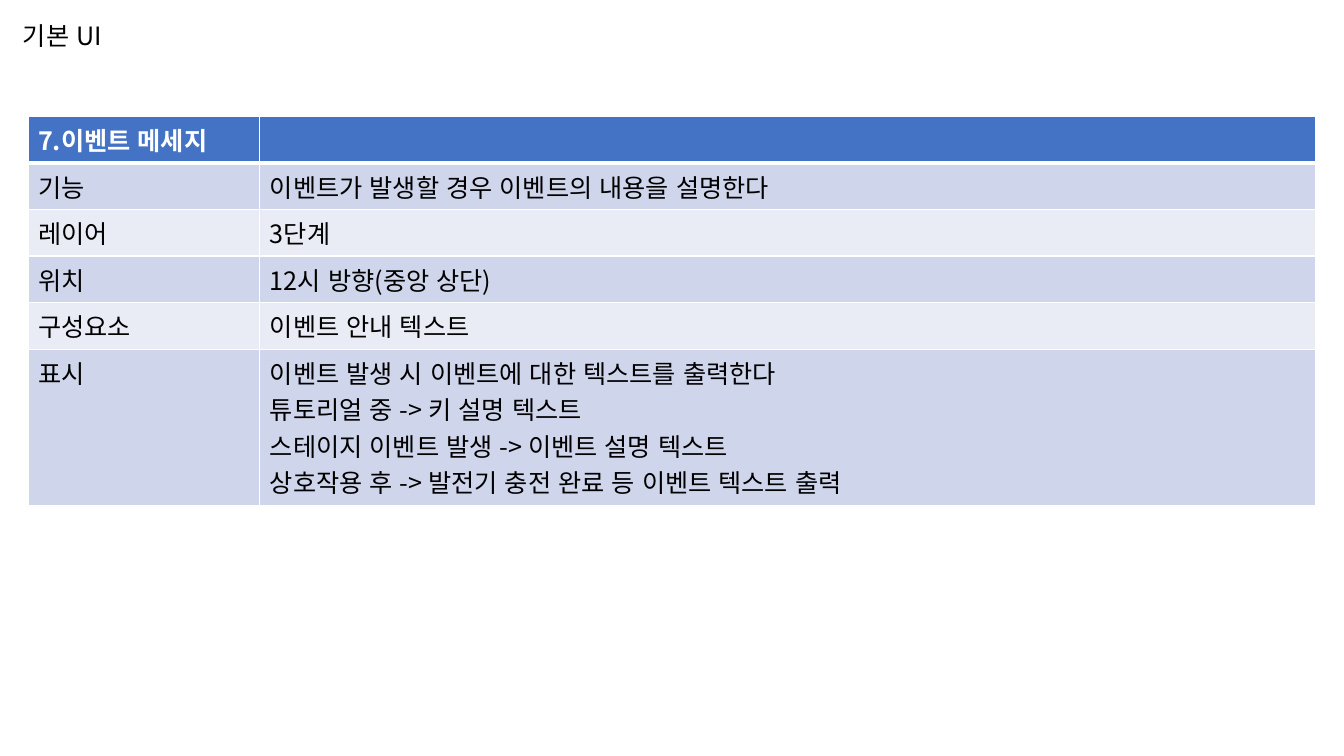
import lxml.etree
import pptx
import pptx.dml.color
import pptx.enum.lang
import pptx.enum.text
import pptx.oxml.ns
import pptx.util

FONT = "Noto Sans CJK KR"
HEADING = "7.이벤트 메세지"
DETAILS = [
    ("기능", "이벤트가 발생할 경우 이벤트의 내용을 설명한다"),
    ("레이어", "3단계"),
    ("위치", "12시 방향(중앙 상단)"),
    ("구성요소", "이벤트 안내 텍스트"),
    ("표시", "이벤트 발생 시 이벤트에 대한 텍스트를 출력한다\v튜토리얼 중 -> 키 설명 텍스트\n"
             "스테이지 이벤트 발생 -> 이벤트 설명 텍스트\n"
             "상호작용 후 -> 발전기 충전 완료 등 이벤트 텍스트 출력"),
]


def paint(color_format, hex_code):
    """Set a colour from a hex string."""
    color_format.rgb = pptx.dml.color.RGBColor.from_string(hex_code)


def write(frame, wording, color="000000", bold=False):
    """Write wording into a text frame in the slide's typeface."""
    frame.text = wording
    settings = {"name": FONT, "size": pptx.util.Pt(18), "bold": bold,
                "language_id": pptx.enum.lang.MSO_LANGUAGE_ID.KOREAN}
    for paragraph in frame.paragraphs:
        for run in paragraph.runs:
            for key, value in settings.items():
                setattr(run.font, key, value)
            paint(run.font.color, color)
            latin = run.font._element.find(pptx.oxml.ns.qn("a:latin"))
            east_asian = lxml.etree.Element(pptx.oxml.ns.qn("a:ea"), typeface=FONT)
            latin.addnext(east_asian)


def style_cell(cell, fill, bottom=1, top=1):
    """Fill a cell and rule its four edges in white."""
    properties = cell._tc.get_or_add_tcPr()
    for edge, width in {"lnL": 1, "lnR": 1, "lnT": top, "lnB": bottom}.items():
        rule = lxml.etree.SubElement(properties, pptx.oxml.ns.qn(f"a:{edge}"),
                                     w=str(pptx.util.Pt(width)))
        solid = lxml.etree.SubElement(rule, pptx.oxml.ns.qn("a:solidFill"))
        lxml.etree.SubElement(solid, pptx.oxml.ns.qn("a:srgbClr"), val="FFFFFF")
    cell.fill.solid()
    paint(cell.fill.fore_color, fill)


def add_title(slide, left, top, width, height):
    """Place the slide title in its box."""
    title = slide.shapes.add_textbox(*map(pptx.util.Pt, (left, top, width, height)))
    title.text_frame.word_wrap = True
    title.text_frame.auto_size = pptx.enum.text.MSO_AUTO_SIZE.SHAPE_TO_FIT_TEXT
    write(title.text_frame, "기본 UI")


def add_event_table(slide, left, top, width, height):
    """Place the event message table in its box."""
    label_width, header_height, row_height = 165.6, 9.36, 29.2
    holder = slide.shapes.add_table(len(DETAILS) + 1, 2,
                                    *map(pptx.util.Pt, (left, top, width, height)))
    table = holder.table
    table.columns[0].width = pptx.util.Pt(label_width)
    table.columns[1].width = pptx.util.Pt(width - label_width)
    for index, entries in enumerate([(HEADING, ""), *DETAILS]):
        header = index == 0
        table.rows[index].height = pptx.util.Pt(header_height if header else row_height)
        fill = "4472C4" if header else ("E9EBF5", "CFD5EA")[index % 2]
        for cell, wording in zip(table.rows[index].cells, entries):
            write(cell.text_frame, wording, "FFFFFF" if header else "000000", header)
            style_cell(cell, fill, bottom=3 if header else 1, top=3 if index == 1 else 1)
    holder.height = pptx.util.Pt(height)


def main():
    """Build the slide and save it."""
    deck = pptx.Presentation()
    deck.slide_width, deck.slide_height = pptx.util.Pt(960), pptx.util.Pt(540)
    slide = deck.slides.add_slide(deck.slide_layouts[6])
    add_event_table(slide, 20, 83, 920, 239)
    add_title(slide, 9.36, 11, 479.5, 29)
    deck.save("out.pptx")


if __name__ == "__main__":
    main()
